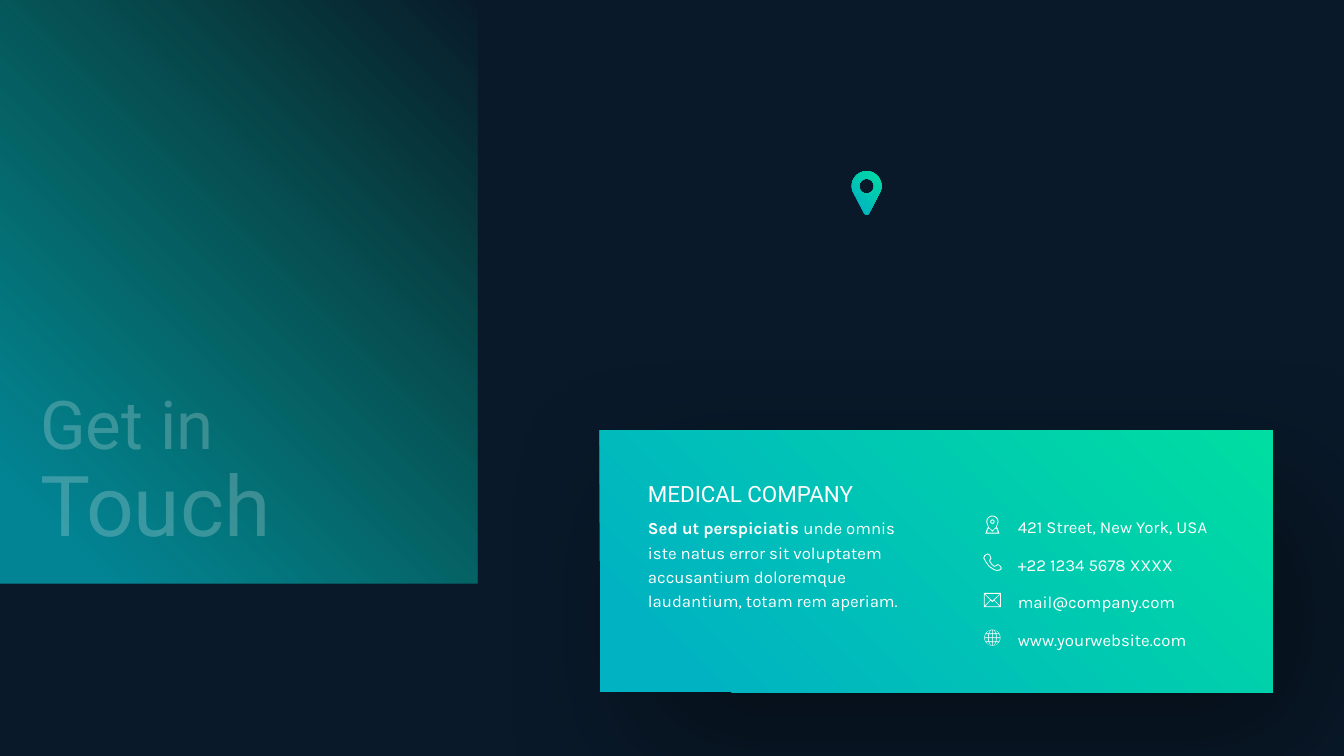
from dataclasses import dataclass
from math import cos, radians, sin, sqrt

from lxml.etree import SubElement
from pptx import Presentation
from pptx.dml.color import RGBColor
from pptx.enum.shapes import MSO_SHAPE
from pptx.enum.text import MSO_AUTO_SIZE
from pptx.oxml.ns import qn
from pptx.shapes.autoshape import Shape
from pptx.slide import Slide
from pptx.util import Cm, Pt

NAVY = RGBColor(0x09, 0x19, 0x29)
BLUE = RGBColor(0x00, 0xB2, 0xC2)
GREEN = RGBColor(0x00, 0xDD, 0xA2)
WHITE = RGBColor(0xFF, 0xFF, 0xFF)

Contour = list[tuple[float, float]]
OUTLINE_UNIT = Cm(0.001)
ROW_TOP, ROW_PITCH = 12.83, 0.95
ICON_X, ICON_DROP = 25.01, 0.39


@dataclass(frozen=True)
class Span:
    text: str
    size: float
    font: str
    bold: bool = False
    opacity: int = 100


@dataclass(frozen=True)
class TextBox:
    left: float
    top: float
    width: float
    height: float
    spacing: float
    lines: list[list[Span]]


@dataclass(frozen=True)
class Contact:
    text: str
    icon: list[Contour]


def arc(center_y: float, radius: float, start: int, end: int) -> Contour:
    return [(radius * cos(radians(angle)), center_y + radius * sin(radians(angle)))
            for angle in range(start, end + 1, 10)]


def circle(center_y: float, radius: float) -> Contour:
    return arc(center_y, radius, 0, 350)


def mirror(contour: Contour) -> Contour:
    return [(-x, y) for x, y in contour]


def map_pin_contours() -> list[Contour]:
    body = arc(0, 375, 160, 380) + arc(650, 75, 20, 160)
    return [body, circle(0, 185)]


def address_contours() -> list[Contour]:
    def drop(radius: float, tip: float) -> Contour:
        return arc(-76, radius, 170, 370) + [(radius * 0.7, 65), (0, tip), (-radius * 0.7, 65)]

    outer_base = [(76, 76), (127, 76), (178, 229), (-178, 229), (-127, 76), (-76, 76)]
    inner_base = [(-76, 102), (-104, 102), (-140, 204), (140, 204), (104, 102), (76, 102)]
    return [drop(152, 178), drop(130, 150), circle(-76, 54), circle(-76, 32),
            outer_base + inner_base]


def phone_contours() -> list[Contour]:
    outer = [(114, 216), (38, 195), (12, 180), (-89, 110), (-178, -12), (-230, -110),
             (-200, -178), (-127, -222), (-85, -210), (-50, -165), (-25, -102), (-50, -60),
             (-62, -38), (-8, 42), (45, 88), (76, 82), (114, 55), (140, 45), (195, 80),
             (235, 135), (230, 170), (185, 205)]
    inner = [(114, 194), (45, 174), (20, 160), (-75, 95), (-160, -22), (-207, -110),
             (-182, -164), (-125, -200), (-96, -190), (-70, -155), (-48, -104), (-72, -70),
             (-86, -38), (-25, 57), (40, 110), (85, 103), (125, 76), (142, 67), (180, 97),
             (212, 140), (205, 160), (175, 183)]
    return [outer, inner]


def envelope_contours() -> list[Contour]:
    frame = [(-216, -178), (216, -178), (216, 178), (-216, 178)]
    flap = [(-190, -155), (190, -155), (0, 20)]
    side = [(-193, -140), (-50, 0), (-193, 140)]
    bottom = [(-185, 158), (-45, 15), (0, 50), (45, 15), (185, 158)]
    return [frame, flap, side, mirror(side), bottom]


def globe_contours() -> list[Contour]:
    radius = 203
    bands = [(-0.94, -0.54), (-0.46, -0.04), (0.04, 0.46), (0.54, 0.94)]

    def edge(meridian: float, top: float, bottom: float) -> Contour:
        heights = [top + (bottom - top) * step / 6 for step in range(7)]
        return [(radius * meridian * sqrt(1 - height ** 2), radius * height)
                for height in heights]

    cells = [edge(left, top, bottom) + edge(right, bottom, top)
             for top, bottom in bands for left, right in bands]
    return [circle(0, radius)] + cells


def draw_outline(page: Slide, contours: list[Contour], x: float, y: float) -> Shape:
    first, *others = contours
    builder = page.shapes.build_freeform(*first[0], scale=OUTLINE_UNIT)
    builder.add_line_segments(first[1:], close=True)
    for contour in others:
        builder.move_to(*contour[0])
        builder.add_line_segments(contour[1:], close=True)
    outline = builder.convert_to_shape(Cm(x), Cm(y))
    outline.shadow.inherit = False
    outline.line.fill.background()
    return outline


def draw_rectangle(page: Slide, left: float, top: float, width: float, height: float) -> Shape:
    rectangle = page.shapes.add_shape(
        MSO_SHAPE.RECTANGLE, Cm(left), Cm(top), Cm(width), Cm(height))
    rectangle.shadow.inherit = False
    rectangle.line.fill.background()
    return rectangle


def fill_gradient(shape: Shape, opacities: tuple[int, int] = (100, 100)) -> None:
    shape.fill.gradient()
    shape.fill.gradient_angle = 45
    stops = zip(shape.fill.gradient_stops, (BLUE, GREEN), (0.1, 1))
    for stop, color, position in stops:
        stop.color.rgb = color
        stop.position = position
    for color, opacity in zip(shape._element.spPr.iter(qn("a:srgbClr")), opacities):
        if opacity < 100:
            SubElement(color, qn("a:alpha"), val=str(opacity * 1000))


def add_soft_shadow(shape: Shape) -> None:
    effects = shape._element.spPr.find(qn("a:effectLst"))
    shadow = SubElement(effects, qn("a:outerShdw"), blurRad=str(Pt(100)), dist=str(Pt(49)),
                        dir=str(55 * 60000), algn="ctr", rotWithShape="0")
    color = SubElement(shadow, qn("a:srgbClr"), val="000000")
    SubElement(color, qn("a:alpha"), val="40000")


def draw_text(page: Slide, content: TextBox) -> None:
    box = page.shapes.add_textbox(
        Cm(content.left), Cm(content.top), Cm(content.width), Cm(content.height))
    frame = box.text_frame
    frame.word_wrap = True
    frame.auto_size = MSO_AUTO_SIZE.SHAPE_TO_FIT_TEXT
    for index, line in enumerate(content.lines):
        para = frame.add_paragraph() if index else frame.paragraphs[0]
        para.line_spacing = content.spacing
        for span in line:
            run = para.add_run()
            run.text = span.text
            formats = {"size": Pt(span.size), "name": span.font, "bold": span.bold}
            for attribute, value in formats.items():
                setattr(run.font, attribute, value)
            run.font.color.rgb = WHITE
            if span.opacity < 100:
                color = run._r.find(".//" + qn("a:srgbClr"))
                SubElement(color, qn("a:alpha"), val=str(span.opacity * 1000))


TEXTS = [
    TextBox(0.76, 9.73, 10.16, 4.42, 0.9, [
        [Span("Get in", 48, "Roboto", opacity=21)],
        [Span("Touch", 60, "Roboto", opacity=21)]]),
    TextBox(16.08, 11.89, 7.52, 0.97, 1.13, [[Span("MEDICAL COMPANY", 16, "Roboto")]]),
    TextBox(16.08, 12.83, 7.37, 2.67, 1.2, [[
        Span("Sed ut perspiciatis ", 12, "Karla", bold=True),
        Span("unde omnis iste natus error sit voluptatem accusantium doloremque "
             "laudantium, totam rem aperiam.", 12, "Karla")]]),
]
CONTACTS = [
    Contact("421 Street, New York, USA", address_contours()),
    Contact("+22 1234 5678 XXXX", phone_contours()),
    Contact("mail@company.com", envelope_contours()),
    Contact("www.yourwebsite.com", globe_contours()),
]


def main() -> None:
    deck = Presentation()
    deck.slide_width, deck.slide_height = Cm(33.87), Cm(19.05)
    page = deck.slides.add_slide(deck.slide_layouts[6])
    page.background.fill.solid()
    page.background.fill.fore_color.rgb = NAVY
    fill_gradient(draw_rectangle(page, 0, 0, 12.04, 14.71), (70, 0))
    fill_gradient(draw_outline(page, map_pin_contours(), 21.84, 4.69))
    card = draw_rectangle(page, 15.11, 10.84, 16.97, 6.61)
    fill_gradient(card)
    add_soft_shadow(card)
    for content in TEXTS:
        draw_text(page, content)
    for row, contact in enumerate(CONTACTS):
        top = ROW_TOP + row * ROW_PITCH
        draw_text(page, TextBox(25.4, top, 5.82, 0.79, 1.13, [[Span(contact.text, 12, "Karla")]]))
        icon = draw_outline(page, contact.icon, ICON_X, top + ICON_DROP)
        icon.fill.solid()
        icon.fill.fore_color.rgb = WHITE
    deck.save("out.pptx")


if __name__ == "__main__":
    main()
